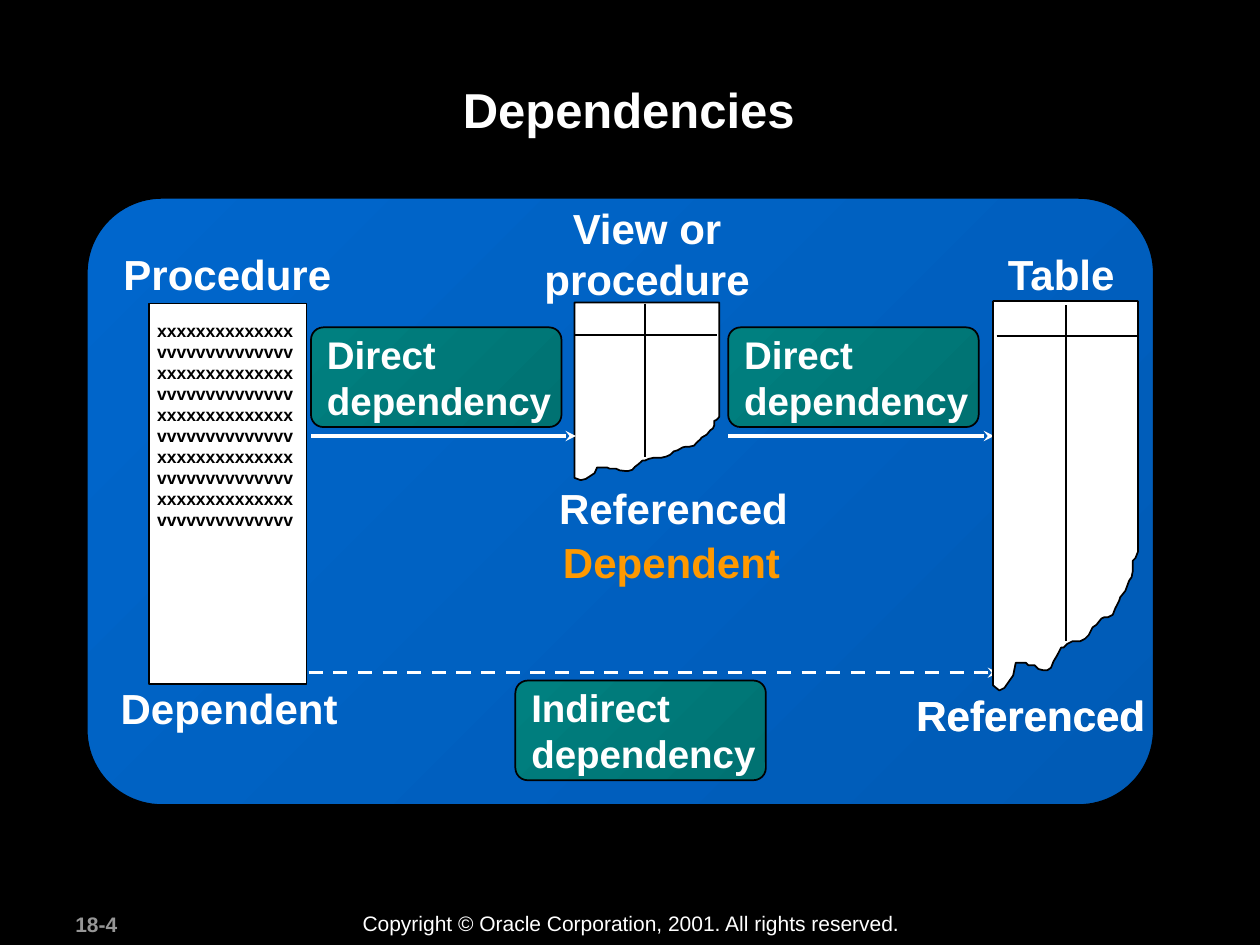
from dataclasses import dataclass

from lxml import etree
from pptx import Presentation
from pptx import util as u
from pptx.dml.color import RGBColor
from pptx.enum import dml, shapes, text
from pptx.oxml.ns import qn


@dataclass(frozen=True)
class Theme:
    font: str = "Arial"
    black: str = "000000"
    white: str = "FFFFFF"
    grey: str = "969696"
    orange: str = "FF9900"
    blue: tuple = ("005BB6", "0066CC")
    teal: tuple = ("007272", "008080")
    title: int = 28
    label: int = 24
    dependency: int = 22
    footer: int = 12
    code: int = 10
    outline: int = 1
    arrow: int = 2


TORN_WIDTH, TORN_HEIGHT = 115, 309
TORN_EDGE = [
    (115, 199), (115, 0), (0, 0), (0, 305), (5, 309), (9, 307), (16, 297),
    (18, 287), (26, 287), (28, 289), (33, 289), (36, 292), (40, 293),
    (43, 293), (46, 291), (48, 286), (51, 281), (54, 275), (56, 275),
    (59, 272), (63, 270), (69, 270), (73, 268), (76, 265), (79, 259),
    (82, 257), (86, 252), (88, 251), (91, 251), (95, 249), (97, 244),
    (100, 238), (101, 235), (105, 230), (108, 222), (110, 219), (111, 214),
    (111, 206), (113, 204),
]


class Diagram:
    def __init__(self, slide, theme):
        self.shapes = slide.shapes
        self.theme = theme
        slide.background.fill.solid()
        slide.background.fill.fore_color.rgb = RGBColor.from_string(theme.black)

    def outline(self, item, color, width):
        item.line.color.rgb = RGBColor.from_string(color)
        item.line.width = u.Pt(width)

    def set_text(self, frame, lines, size, color, bold=True, align=text.PP_ALIGN.LEFT):
        frame.text = "\n".join(lines)
        for paragraph in frame.paragraphs:
            paragraph.alignment = align
            paragraph.font.name = self.theme.font
            paragraph.font.size = u.Pt(size)
            paragraph.font.bold = bold
            paragraph.font.color.rgb = RGBColor.from_string(color)

    def label(self, box, *lines, size=None, color=None, bold=True,
              centered=False, wrap=False, margins=None):
        frame = self.shapes.add_textbox(*map(u.Cm, box)).text_frame
        frame.word_wrap = wrap
        frame.auto_size = text.MSO_AUTO_SIZE.SHAPE_TO_FIT_TEXT
        if margins:
            frame.margin_left = frame.margin_right = u.Cm(margins[0])
            frame.margin_top = frame.margin_bottom = u.Cm(margins[1])
        self.set_text(frame, lines, size or self.theme.label, color or self.theme.white,
                      bold, text.PP_ALIGN.CENTER if centered else text.PP_ALIGN.LEFT)

    def paper(self, item):
        item.shadow.inherit = False
        item.fill.solid()
        item.fill.fore_color.rgb = RGBColor.from_string(self.theme.white)
        self.outline(item, self.theme.black, self.theme.outline)

    def sheet(self, box):
        self.paper(self.shapes.add_shape(shapes.MSO_SHAPE.RECTANGLE, *map(u.Cm, box)))

    def rounded(self, box, colors):
        panel = self.shapes.add_shape(shapes.MSO_SHAPE.ROUNDED_RECTANGLE, *map(u.Cm, box))
        panel.adjustments[0] = 0.124
        panel.shadow.inherit = False
        panel.fill.gradient()
        panel.fill.gradient_angle = 135
        for stop, color in zip(panel.fill.gradient_stops, colors):
            stop.color.rgb = RGBColor.from_string(color)
        self.outline(panel, self.theme.black, self.theme.outline)
        return panel

    def dependency(self, left, top, kind):
        frame = self.rounded((left, top, 5.05, 2.01), self.theme.teal).text_frame
        frame.word_wrap = False
        frame.vertical_anchor = text.MSO_ANCHOR.MIDDLE
        self.set_text(frame, [kind, "dependency"], self.theme.dependency, self.theme.white)

    def rule(self, start, end):
        rule = self.shapes.add_connector(
            shapes.MSO_CONNECTOR.STRAIGHT, *map(u.Cm, start + end))
        self.outline(rule, self.theme.black, self.theme.outline)
        etree.SubElement(rule._element.spPr, qn("a:effectLst"))
        return rule

    def arrow(self, start, end, dashed=False):
        arrow = self.rule(start, end)
        self.outline(arrow, self.theme.white, self.theme.arrow)
        if dashed:
            arrow.line.dash_style = dml.MSO_LINE.DASH
        stroke = arrow._element.spPr.find(qn("a:ln"))
        etree.SubElement(stroke, qn("a:tailEnd"), type="stealth")

    def torn_table(self, left, top, height, column_rule, header_rule):
        scale = u.Cm(2.92) / TORN_WIDTH, u.Cm(height) / TORN_HEIGHT
        builder = self.shapes.build_freeform(*TORN_EDGE[0], scale=scale)
        builder.add_line_segments(TORN_EDGE[1:], close=True)
        self.paper(builder.convert_to_shape(u.Cm(left), u.Cm(top)))
        self.rule(*column_rule)
        self.rule(*header_rule)


def main():
    deck = Presentation()
    deck.slide_width, deck.slide_height = u.Cm(25.4), u.Cm(19.05)
    theme = Theme()
    diagram = Diagram(deck.slides.add_slide(deck.slide_layouts[6]), theme)

    diagram.label((1.27, 18.26, 2.67, 0.76), "18-4",
                  size=theme.footer, color=theme.grey, wrap=True)
    diagram.label((7.06, 18.24, 11.38, 0.76),
                  "Copyright © Oracle Corporation, 2001. All rights reserved.",
                  size=theme.footer, bold=False, wrap=True)
    diagram.rounded((1.75, 3.99, 21.51, 12.24), theme.blue)
    diagram.label((2.39, 1.47, 20.57, 2.44), "Dependencies",
                  size=theme.title, centered=True, wrap=True)

    diagram.sheet((3, 6.12, 3.18, 7.67))
    diagram.label((2.97, 6.35, 3.15, 4.88), *["x" * 14, "v" * 14] * 5,
                  size=theme.code, color=theme.black, margins=(0.2, 0.1))
    diagram.label((2.24, 4.88, 4.7, 1.27), "Procedure")
    diagram.label((2.18, 13.64, 4.88, 1.27), "Dependent", centered=True)

    diagram.label((10.72, 3.96, 4.65, 2.29), "View or", "procedure", centered=True)
    diagram.torn_table(11.58, 6.1, 3.58,
                       column_rule=((13, 6.12), (13, 9.22)),
                       header_rule=((11.58, 6.76), (14.45, 6.76)))
    diagram.label((11.02, 9.6, 5.13, 1.27), "Referenced")
    diagram.label((11.1, 10.69, 4.88, 1.27), "Dependent", color=theme.orange)

    for left, tip in ((6.27, 11.61), (14.68, 20.04)):
        diagram.dependency(left, 6.6, "Direct")
        diagram.arrow((left, 8.79), (tip, 8.79))
    diagram.arrow((6.22, 13.56), (20.12, 13.56), dashed=True)
    diagram.dependency(10.39, 13.72, "Indirect")

    diagram.torn_table(20.02, 6.07, 7.85,
                       column_rule=((21.49, 6.15), (21.49, 12.93)),
                       header_rule=((20.09, 6.78), (22.94, 6.78)))
    diagram.label((20.07, 4.88, 2.72, 1.27), "Table")
    for left, width in ((17.98, 5.61), (18.21, 5.13)):
        diagram.label((left, 13.77, width, 1.27), "Referenced", centered=True)

    deck.save("out.pptx")


if __name__ == "__main__":
    main()
